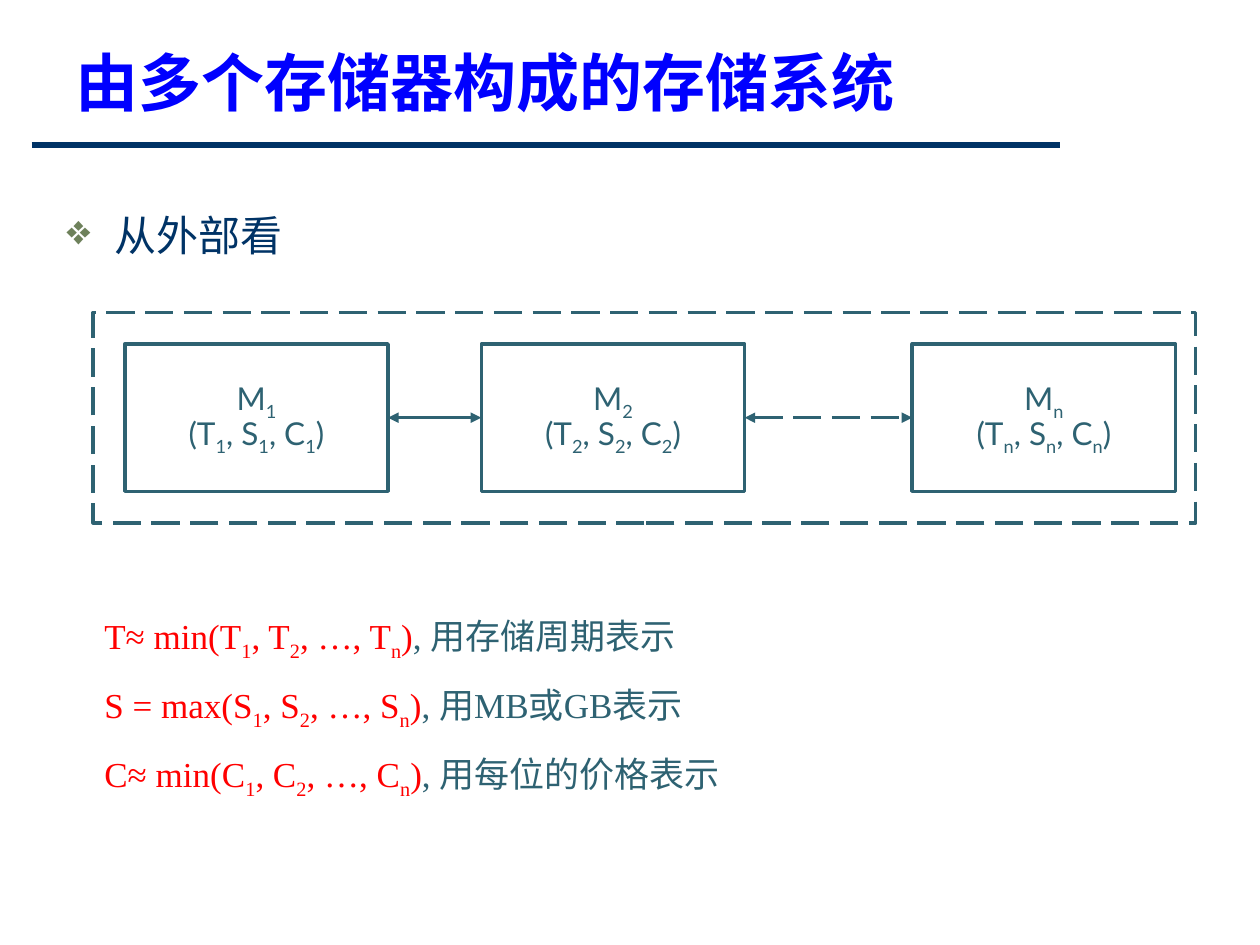
"""Builds a slide on a memory system made of several memories."""
from pptx import Presentation
from pptx import util as u
from pptx.dml.color import RGBColor
from pptx.enum import dml, shapes, text
from pptx.oxml.ns import qn
from lxml import etree

BLUE = RGBColor(0x00, 0x00, 0xFF)
NAVY = RGBColor(0x00, 0x33, 0x66)
TEAL = RGBColor(0x2E, 0x62, 0x72)
RED = RGBColor(0xFF, 0x00, 0x00)
OLIVE = "6E815B"
SERIF, SANS = "Times New Roman", "Lato"

TITLE = "由多个存储器构成的存储系统"
VIEW = "从外部看"
MEMORIES = [("1", 0.99), ("2", 3.82), ("n", 7.24)]
LINKS = [None, dml.MSO_LINE.LONG_DASH]
RULES = [
    ("T≈ min({0}_1, {0}_2, …, {0}_n)", "T", ", 用存储周期表示"),
    ("S = max({0}_1, {0}_2, …, {0}_n)", "S", ", 用MB或GB表示"),
    ("C≈ min({0}_1, {0}_2, …, {0}_n)", "C", ", 用每位的价格表示"),
]
MEMORY_TOP, MEMORY_WIDTH, MEMORY_HEIGHT = 2.73, 2.09, 1.17
MARGIN_Y = 0.25


def assign(target, **values):
    for key, value in values.items():
        setattr(target, key, value)


def write(paragraph, content, size, color, face, bold=False):
    """Adds content, lowering each character that follows an underscore."""
    first, *rest = content.split("_")
    pieces = [(first, False)]
    for part in rest:
        pieces += [(part[0], True), (part[1:], False)]
    for piece, lowered in pieces:
        if piece:
            run = paragraph.add_run()
            run.text = piece
            assign(run.font, size=u.Pt(size), name=face, bold=bold)
            run.font.color.rgb = color
            if lowered:
                run.font._element.set("baseline", "-25000")


def text_area(left, top, width, height):
    frame = slide.shapes.add_textbox(*map(u.Inches, (left, top, width, height))).text_frame
    frame.word_wrap = True
    return frame


def stroke(line, color, width, dash=None):
    line.color.rgb = color
    assign(line, width=u.Pt(width), dash_style=dash)


def box(left, top, width, height, dash=None):
    rect = slide.shapes.add_shape(
        shapes.MSO_SHAPE.RECTANGLE, *map(u.Inches, (left, top, width, height)))
    rect.shadow.inherit = False
    rect.fill.background()
    stroke(rect.line, TEAL, 2, dash)
    return rect


def connector(start, end, color, width, dash=None):
    line = slide.shapes.add_connector(
        shapes.MSO_CONNECTOR.STRAIGHT, *map(u.Inches, start + end))
    stroke(line.line, color, width, dash)
    etree.SubElement(line._element.spPr, qn("a:effectLst"))
    return line


def memory(index, left):
    rect = box(left, MEMORY_TOP, MEMORY_WIDTH, MEMORY_HEIGHT)
    frame = rect.text_frame
    assign(frame, word_wrap=False, vertical_anchor=text.MSO_ANCHOR.MIDDLE,
           margin_left=u.Inches(0.08), margin_right=u.Inches(0.08),
           margin_top=u.Inches(0.04), margin_bottom=u.Inches(0.04))
    labels = [f"M_{index}", f"(T_{index}, S_{index}, C_{index})"]
    for paragraph, label in zip((frame.paragraphs[0], frame.add_paragraph()), labels):
        assign(paragraph, alignment=text.PP_ALIGN.CENTER, line_spacing=0.8)
        write(paragraph, label, 18, TEAL, SANS)
    return rect


def link(left_memory, right_memory, dash):
    arrow = connector((0, 0), (1, 0), TEAL, 2, dash)
    arrow.begin_connect(left_memory, 3)
    arrow.end_connect(right_memory, 1)
    outline = arrow.line._get_or_add_ln()
    for end in ("a:headEnd", "a:tailEnd"):
        etree.SubElement(outline, qn(end), type="triangle")


deck = Presentation()
assign(deck, slide_width=u.Inches(10), slide_height=u.Inches(7.5))
slide = deck.slides.add_slide(deck.slide_layouts[6])

connector((0.25, 1.15), (8.41, 1.15), NAVY, 3)
write(text_area(0.5, 0.3, 9, 0.8).paragraphs[0], TITLE, 36, BLUE, SERIF, bold=True)

view = text_area(0.43, 1.61, 9.06, 0.6).paragraphs[0]
write(view, VIEW, 24, NAVY, SERIF)
view_format = view._p.get_or_add_pPr()
for key, inches in (("marL", 0.38), ("indent", -0.38)):
    view_format.set(key, str(u.Inches(inches)))
bullet_color = etree.SubElement(view_format, qn("a:buClr"))
etree.SubElement(bullet_color, qn("a:srgbClr"), val=OLIVE)
etree.SubElement(view_format, qn("a:buChar"), char="❖")

memories = [memory(*entry) for entry in MEMORIES]
for left_memory, right_memory, dash in zip(memories, memories[1:], LINKS):
    link(left_memory, right_memory, dash)
box(0.74, MEMORY_TOP - MARGIN_Y, 8.75, MEMORY_HEIGHT + 2 * MARGIN_Y,
    dml.MSO_LINE.LONG_DASH)

rules = text_area(0.73, 4.83, 8.76, 1.72)
for number, (formula, quantity, unit) in enumerate(RULES):
    paragraph = rules.add_paragraph() if number else rules.paragraphs[0]
    paragraph.space_before = u.Pt(12 if number else 0)
    write(paragraph, formula.format(quantity), 20, RED, SERIF)
    write(paragraph, unit, 20, TEAL, SERIF)

deck.save("out.pptx")
